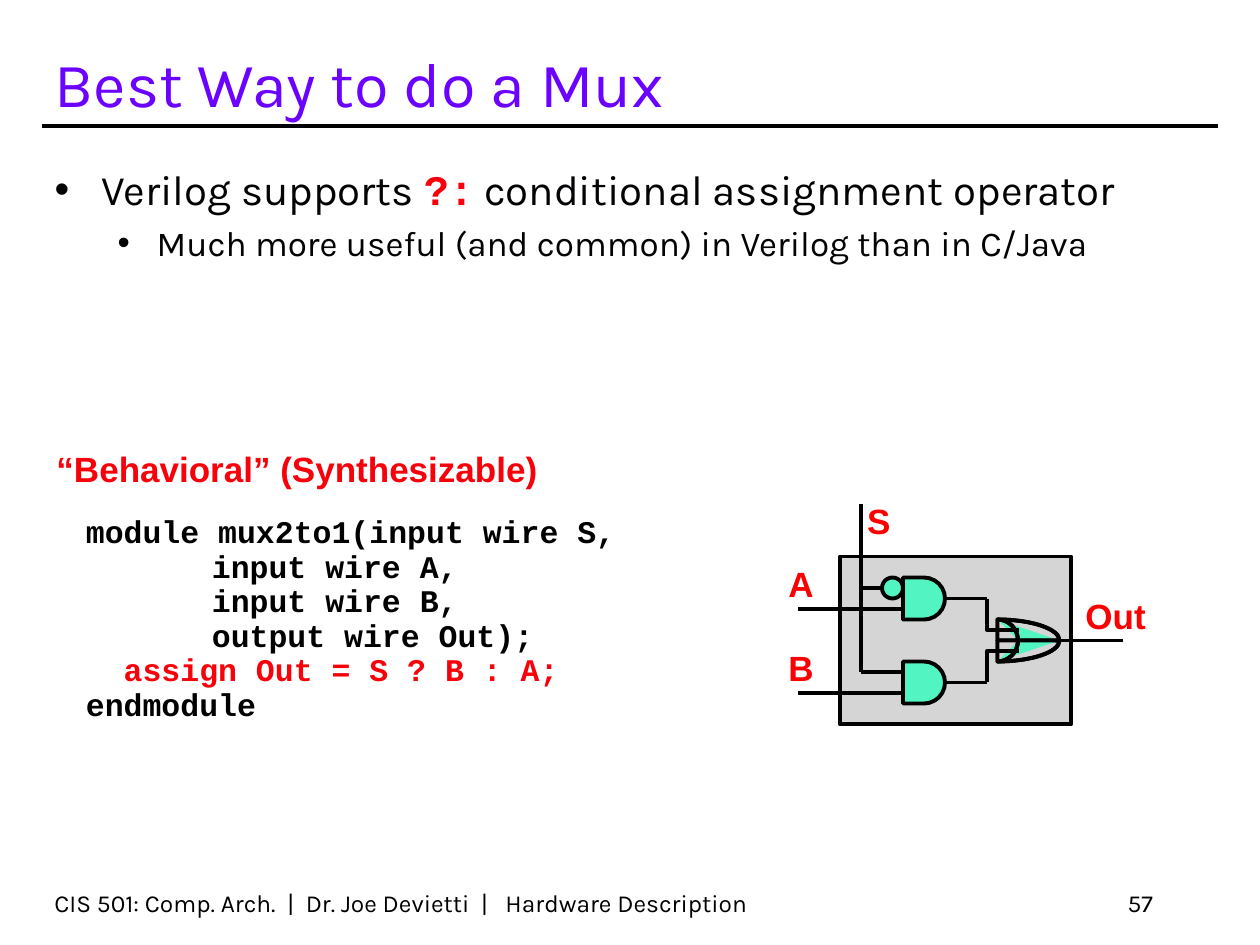
from lxml import etree
from pptx import Presentation
from pptx import util as u
from pptx.dml.color import RGBColor
from pptx.enum import shapes, text
from pptx.oxml.ns import qn

COLORS = {
    "title": "6B02FF", "body": "030305", "code": "000000", "wire": "000000",
    "accent": "F7020B", "signal": "FD0002", "block": "D5D5D5", "gate": "52F4C2",
}

prs = Presentation()
prs.slide_width, prs.slide_height = u.Inches(10), u.Inches(7.5)
COLS = 120  # the grid has 120 columns and 90 rows of square cells
CELL = prs.slide_width / COLS
slide = prs.slides.add_slide(prs.slide_layouts[1])


def grid(*cells):
    return [round(cell * CELL) for cell in cells]


def style(item, size, font, color, bold=False):
    item.font.size = u.Pt(size)
    item.font.name = font
    item.font.bold = bold
    item.font.color.rgb = RGBColor.from_string(COLORS[color])


# Title
title = slide.shapes.title
title.left, title.top, title.width, title.height = grid(4, 3, 106, 9)
title.text_frame.text = "Best Way to do a Mux"
title.text_frame.vertical_anchor = text.MSO_ANCHOR.BOTTOM
title.text_frame.auto_size = text.MSO_AUTO_SIZE.NONE
heading = title.text_frame.paragraphs[0]
heading.alignment = text.PP_ALIGN.LEFT
style(heading.runs[0], 36, "Karla", "title")

# Bullets
body = slide.placeholders[1]
body.left, body.top, body.width, body.height = grid(4, 15, 112, 67)
body.text_frame.auto_size = text.MSO_AUTO_SIZE.NONE
bullets = [
    (["Verilog supports ", "?:", " conditional assignment operator"], 24, 0.37, -0.37, 0),
    (["Much more useful (and common) in Verilog than in C/Java"], 20, 0.81, -0.31, 4),
]
for level, (parts, size, margin, indent, gap) in enumerate(bullets):
    bullet = body.text_frame.paragraphs[0] if level == 0 else body.text_frame.add_paragraph()
    bullet.level = level
    bullet.space_before = u.Pt(gap)
    props = bullet._p.get_or_add_pPr()
    props.set("marL", str(u.Inches(margin)))
    props.set("indent", str(u.Inches(indent)))
    etree.SubElement(props, qn("a:buFont"), typeface="Arial")
    etree.SubElement(props, qn("a:buChar"), char="•")
    for part in parts:
        run = bullet.add_run()
        run.text = part
        if part == "?:":
            style(run, size, "Courier New", "accent", True)
        else:
            style(run, size, "Karla", "body")

# Mux block and gates: preset, columns and rows, fill
preset = shapes.MSO_SHAPE
parts = [
    (preset.RECTANGLE, (80, 53, 22, 16), "block"),
    (preset.FLOWCHART_DELAY, (86, 63, 4, 4), "gate"),
    (preset.FLOWCHART_DELAY, (86, 55, 4, 4), "gate"),
    (preset.FLOWCHART_CONNECTOR, (84, 55, 2, 2), "gate"),
]
outlined = []
for kind, place, fill in parts:
    outlined.append((slide.shapes.add_shape(kind, *grid(*place)), fill))

# OR gate: upper and lower quarter ellipses, the wide front before the narrow back
GATE_LEFT, GATE_MIDDLE, ROUND = 95, 61, 0.55
for reach, fill in ((5.9, "gate"), (1.95, "block")):
    for side in (-2, 2):
        start = grid(GATE_LEFT, GATE_MIDDLE + side)
        curve = [
            grid(GATE_LEFT + ROUND * reach, GATE_MIDDLE + side),
            grid(GATE_LEFT + reach, GATE_MIDDLE + ROUND * side),
            grid(GATE_LEFT + reach, GATE_MIDDLE),
        ]
        outline = slide.shapes.build_freeform(*start)
        outline.add_line_segments(curve, close=False)
        outline.move_to(*start)
        outline.add_line_segments(curve + [grid(GATE_LEFT, GATE_MIDDLE)], close=True)
        quarter = outline.convert_to_shape()
        # Each run of three segments holds the control points of one Bézier curve
        segments = list(quarter._element.iter(qn("a:lnTo")))
        for first in (0, 3):
            bezier = segments[first]
            bezier.tag = qn("a:cubicBezTo")
            for segment in segments[first + 1:first + 3]:
                bezier.append(segment[0])
                segment.getparent().remove(segment)
        outlined.append((quarter, fill))

# Bent wires from the AND gates to the OR gate
for start, end in ((57, 60), (65, 62)):
    bend = slide.shapes.build_freeform(*grid(94, start))
    bend.add_line_segments([grid(94, end), grid(97, end)], close=False)
    outlined.append((bend.convert_to_shape(), None))

for part, fill in outlined:
    part.shadow.inherit = False
    if fill:
        part.fill.solid()
        part.fill.fore_color.rgb = RGBColor.from_string(COLORS[fill])
    else:
        part.fill.background()
    part.line.color.rgb = RGBColor.from_string(COLORS["wire"])
    part.line.width = u.Pt(2.25)

# Title rule and straight wires
wires = [
    (4, 12, 116, 12),
    (94, 57, 90, 57), (94, 65, 90, 65), (107, 61, 101, 61),
    (86, 66, 76, 66), (86, 58, 76, 58), (84, 56, 82, 56),
    (82, 48, 82, 64), (86, 64, 82, 64),
]
for ends in wires:
    wire = slide.shapes.add_connector(shapes.MSO_CONNECTOR.STRAIGHT, *grid(*ends))
    wire.line.color.rgb = RGBColor.from_string(COLORS["wire"])
    wire.line.width = u.Pt(2.25)
    etree.SubElement(wire._element.spPr, qn("a:effectLst"))

# Signal names, code heading and footer
left, right = text.PP_ALIGN.LEFT, text.PP_ALIGN.RIGHT
top, middle, bottom = text.MSO_ANCHOR.TOP, text.MSO_ANCHOR.MIDDLE, text.MSO_ANCHOR.BOTTOM
labels = [
    ("S", (81.4, 47, 4.6, 5.2), 20, "Arial", "signal", left, top),
    ("Out", (102.2, 56, 8.2, 5.2), 20, "Arial", "signal", left, top),
    ("B", (73.9, 61, 4.8, 5.2), 20, "Arial", "signal", left, top),
    ("A", (73.9, 53, 4.8, 5.2), 20, "Arial", "signal", left, top),
    ("“Behavioral” (Synthesizable)", (4.2, 42, 49, 5.2), 20, "Arial", "accent", left, middle),
    ("CIS 501: Comp. Arch.  |  Dr. Joe Devietti  |   Hardware Description",
     (4, 84, 75, 4), 14, "Karla", "code", left, bottom),
    ("57", (86, 84, 25, 4), 14, "Karla", "code", right, bottom),
]
for words, place, size, font, color, align, anchor in labels:
    label = slide.shapes.add_textbox(*grid(*place)).text_frame
    label.text = words
    label.word_wrap = len(words) > 3
    label.vertical_anchor = anchor
    label.paragraphs[0].alignment = align
    style(label.paragraphs[0].runs[0], size, font, color, bold=font == "Arial")

# Verilog code: line, left margin in inches, colour
code = [
    ("module mux2to1(input wire S,", 0.5, "code"),
    ("input wire A,", 1.5, "code"),
    ("input wire B,", 1.5, "code"),
    ("output wire Out);", 1.5, "code"),
    ("  assign Out = S ? B : A;", 0.5, "accent"),
    ("endmodule", 0.5, "code"),
]
listing = slide.shapes.add_textbox(*grid(1, 48.9, 115, 20.4)).text_frame
listing.word_wrap = True
listing.text = "\n".join(line for line, _, _ in code)
for row, (paragraph, (_, margin, color)) in enumerate(zip(listing.paragraphs, code)):
    paragraph._p.get_or_add_pPr().set("marL", str(u.Inches(margin)))
    paragraph.line_spacing = 0.8
    paragraph.space_before = u.Pt(2.4 if row else 0)
    style(paragraph.runs[0], 18, "Courier New", color, bold=True)

prs.save("out.pptx")
